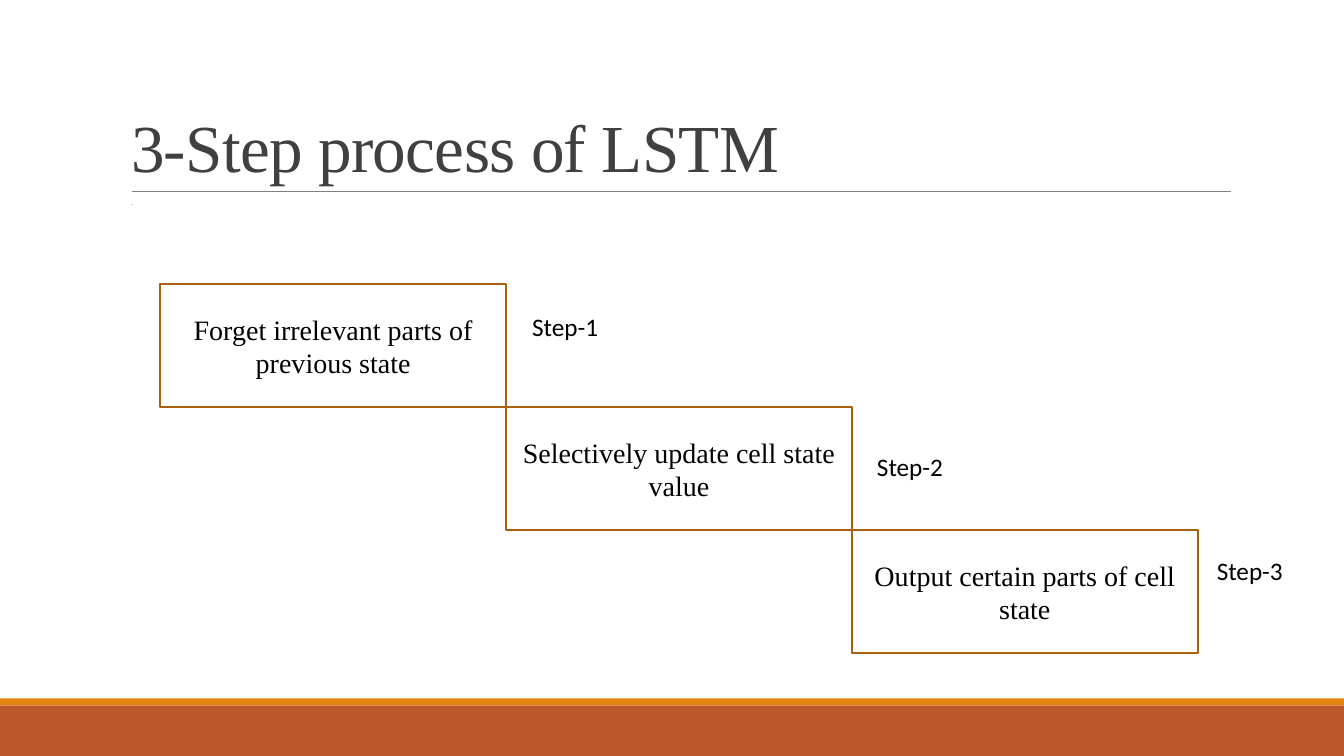
import pptx
import pptx.dml.color
import pptx.enum.shapes
import pptx.enum.text
import pptx.oxml
import pptx.oxml.ns
import pptx.util
from pptx.util import Inches

SERIF = "Times New Roman"
SANS = "Calibri"
STEPS = [
    # text, then the label's offset from the box's top right corner
    ("Forget irrelevant parts of previous state", 0.16, 0.22),
    ("Selectively update cell state value", 0.15, 0.39),
    ("Output certain parts of cell state", 0.09, 0.2),
]


def colour(value):
    return pptx.dml.color.RGBColor.from_string(value)


def place(shape, left, top, width, height):
    shape.left, shape.top = Inches(left), Inches(top)
    shape.width, shape.height = Inches(width), Inches(height)


def add_text(para, text, size, font, hex_colour):
    span = para.add_run()
    span.text = text
    span.font.size = pptx.util.Pt(size)
    span.font.name = font
    span.font.color.rgb = colour(hex_colour)
    return span


def add_rectangle(page, left, top, width, height):
    box = page.shapes.add_shape(
        pptx.enum.shapes.MSO_SHAPE.RECTANGLE,
        Inches(left), Inches(top), Inches(width), Inches(height))
    box.shadow.inherit = False
    return box


def add_footer_bands(page, left, top, width):
    bands = [(0.07, "E48312"), (0.5, "BD582C")]
    for height, fill in bands:
        band = add_rectangle(page, left, top, width, height)
        band.fill.solid()
        band.fill.fore_color.rgb = colour(fill)
        band.line.fill.background()
        top += height


def add_title(page, left, top, width, height):
    """Fill the title placeholder and rule a line along its bottom edge."""
    title = page.shapes.title
    place(title, left, top, width, height)
    frame = title.text_frame
    frame.auto_size = pptx.enum.text.MSO_AUTO_SIZE.NONE
    frame.vertical_anchor = pptx.enum.text.MSO_ANCHOR.BOTTOM
    para = frame.paragraphs[0]
    para.alignment = pptx.enum.text.PP_ALIGN.LEFT
    para.line_spacing = 0.85
    span = add_text(para, "3-Step process of LSTM", 48, SERIF, "404040")
    span.font._element.set("spc", "-50")

    bottom = Inches(top + height)
    rule = page.shapes.add_connector(
        pptx.enum.shapes.MSO_CONNECTOR.STRAIGHT,
        Inches(left + 0.11), bottom, Inches(left + width + 0.01), bottom)
    rule.line.color.rgb = colour("808080")
    rule.line.width = pptx.util.Pt(0.5)
    rule._element.spPr.append(pptx.oxml.parse_xml(
        "<a:effectLst %s/>" % pptx.oxml.ns.nsdecls("a")))


def add_body(page, left, top, width, height):
    body = page.placeholders[1]
    place(body, left, top, width, height)
    frame = body.text_frame
    frame.auto_size = pptx.enum.text.MSO_AUTO_SIZE.NONE
    frame.margin_left = frame.margin_right = 0
    para = frame.paragraphs[0]
    para.line_spacing = 0.7
    para.space_before = pptx.util.Pt(12)
    para.space_after = pptx.util.Pt(2)
    properties = para._element.get_or_add_pPr()
    properties.set("marL", str(Inches(0.1)))
    properties.set("indent", str(Inches(-0.1)))
    properties.append(pptx.oxml.parse_xml(
        '<a:buChar %s char=" "/>' % pptx.oxml.ns.nsdecls("a")))
    add_text(para, ".", 5, SANS, "404040")


def add_step(page, left, top, width, height, text):
    box = add_rectangle(page, left, top, width, height)
    box.fill.background()
    box.line.color.rgb = colour("A9610D")
    box.line.width = pptx.util.Pt(1.25)
    frame = box.text_frame
    frame.word_wrap = True
    frame.vertical_anchor = pptx.enum.text.MSO_ANCHOR.MIDDLE
    para = frame.paragraphs[0]
    para.alignment = pptx.enum.text.PP_ALIGN.CENTER
    add_text(para, text, 20, SERIF, "000000")


def add_label(page, left, top, text):
    label = page.shapes.add_textbox(
        Inches(left), Inches(top), Inches(1.64), Inches(0.4))
    frame = label.text_frame
    frame.word_wrap = True
    frame.auto_size = pptx.enum.text.MSO_AUTO_SIZE.SHAPE_TO_FIT_TEXT
    add_text(frame.paragraphs[0], text, 18, SANS, "000000")


def add_staircase(page, left, top, width, height):
    """Lay the steps corner to corner down the diagonal of the area."""
    step_width, step_height = width / len(STEPS), height / len(STEPS)
    for index, (text, label_x, label_y) in enumerate(STEPS):
        step_left = left + index * step_width
        step_top = top + index * step_height
        add_step(page, step_left, step_top, step_width, step_height, text)
        add_label(page, step_left + step_width + label_x, step_top + label_y,
                  f"Step-{index + 1}")


def main():
    deck = pptx.Presentation()
    deck.slide_width, deck.slide_height = Inches(13.33), Inches(7.5)
    page = deck.slides.add_slide(deck.slide_layouts[1])
    add_footer_bands(page, 0, 6.93, 13.33)
    add_title(page, 1.2, 0.31, 11, 1.59)
    add_body(page, 1.2, 1.97, 0.39, 0.05)
    add_staircase(page, 1.59, 2.82, 10.29, 3.66)
    deck.save("out.pptx")


if __name__ == "__main__":
    main()
